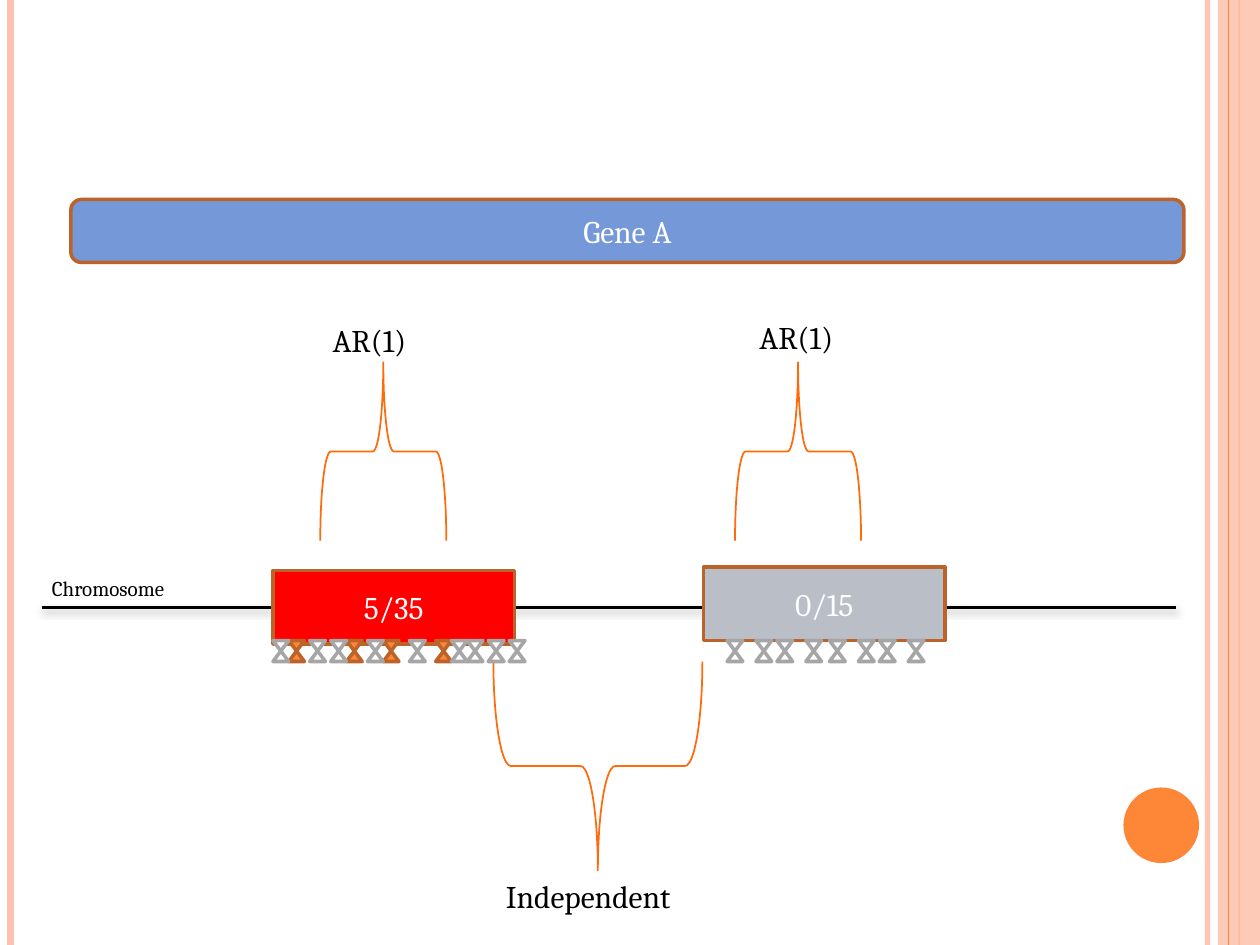
from dataclasses import dataclass

from lxml import etree
from pptx import Presentation
from pptx import util as u
from pptx.dml.color import RGBColor
from pptx.enum import shapes, text
from pptx.oxml.ns import qn

COLUMNS, ROWS = 240, 180  # grid cells of 1/24 inch
CELL = u.Inches(10) / COLUMNS
FORM = shapes.MSO_SHAPE


@dataclass(frozen=True)
class Theme:
    font: str = "Cambria"
    body: float = 18
    small: float = 12
    outline: float = 2
    black: str = "000000"
    white: str = "FFFFFF"
    orange: str = "FE8637"
    brace: str = "FF6B0A"
    peach: str = "FEC3AE"
    brown: str = "BC6329"
    red: str = "FF0000"
    silver: str = "B9BEC7"
    grey: str = "A6A6A6"
    blue: str = "7598D9"


@dataclass(frozen=True)
class Area:
    column: float
    row: float
    columns: float
    rows: float

    def lengths(self) -> list[int]:
        return [cells(n) for n in (self.column, self.row, self.columns, self.rows)]


@dataclass(frozen=True)
class Rule:
    column: float
    color: str
    width: float
    alpha: int = 100


@dataclass(frozen=True)
class Brace:
    area: Area
    rotation: int


@dataclass(frozen=True)
class Label:
    area: Area
    words: str
    size: float


@dataclass(frozen=True)
class Block:
    form: int
    area: Area
    fill: str
    words: str


@dataclass(frozen=True)
class SiteGroup:
    columns: tuple[float, ...]
    fill: str
    line: str


THEME = Theme()

RULES = (
    Rule(230, THEME.peach, 3, 93),
    Rule(2, THEME.peach, 4.5),
    Rule(236, THEME.orange, 1.5),
)
BAND_RULE = Rule(234, THEME.orange, 0.75)
BRACES = (
    Brace(Area(56, 74, 34, 24), 90),
    Brace(Area(135, 74, 34, 24), 90),
    Brace(Area(94, 126, 39.8, 39.8), 270),
)
LABELS = (
    Label(Area(61, 60, 29, 9.7), "AR(1)", THEME.body),
    Label(Area(142.3, 59.3, 29, 9.7), "AR(1)", THEME.body),
    Label(Area(94, 165.8, 46, 9.7), "Independent", THEME.body),
    Label(Area(7.5, 108.5, 32, 7.2), "Chromosome", THEME.small),
)
BLOCKS = (
    Block(FORM.RECTANGLE, Area(52, 108.7, 46, 14), THEME.red, "5/35"),
    Block(FORM.RECTANGLE, Area(134, 108, 46, 14), THEME.silver, "0/15"),
    Block(FORM.ROUNDED_RECTANGLE, Area(13.5, 38, 212, 12), THEME.blue, "Gene A"),
)
SITE_GROUPS = (
    SiteGroup((66, 55, 73, 83), THEME.orange, THEME.brown),
    SiteGroup((78, 93, 70, 89, 59, 63, 86, 97, 52), THEME.white, THEME.grey),
    SiteGroup((138.5, 144, 148, 153.5, 158, 163.5, 167.5, 173), THEME.white, THEME.grey),
)


def cells(count: float) -> int:
    return round(count * CELL)


def set_alpha(properties, percent: int) -> None:
    """Make the first solid colour inside the given XML partly transparent."""
    color = next(properties.iter(qn("a:srgbClr")))
    etree.SubElement(color, qn("a:alpha")).set("val", str(percent * 1000))


def add_line(page, start: tuple, end: tuple, color: str, width: float):
    """Draw a straight line between grid points; return it and its effect list."""
    points = [cells(n) for n in (*start, *end)]
    line = page.shapes.add_connector(shapes.MSO_CONNECTOR.STRAIGHT, *points)
    line.line.color.rgb = RGBColor.from_string(color)
    line.line.width = u.Pt(width)
    effects = etree.SubElement(line._element.spPr, qn("a:effectLst"))
    return line, effects


def add_rule(page, rule: Rule) -> None:
    line, _ = add_line(page, (rule.column, 0), (rule.column, ROWS), rule.color, rule.width)
    if rule.alpha < 100:
        set_alpha(line._element.spPr, rule.alpha)


def add_form(page, form: int, area: Area, fill: str = "", line: str = "",
             width: float = THEME.outline):
    shape = page.shapes.add_shape(form, *area.lengths())
    shape.shadow.inherit = False
    if fill:
        shape.fill.solid()
        shape.fill.fore_color.rgb = RGBColor.from_string(fill)
    else:
        shape.fill.background()
    if line:
        shape.line.color.rgb = RGBColor.from_string(line)
        shape.line.width = u.Pt(width)
    else:
        shape.line.fill.background()
    return shape


def write(box, words: str, size: float, color: str, align) -> None:
    box.text_frame.word_wrap = True
    para = box.text_frame.paragraphs[0]
    para.text = words
    para.alignment = align
    para.font.name = THEME.font
    para.font.size = u.Pt(size)
    para.font.color.rgb = RGBColor.from_string(color)


def add_label(page, label: Label) -> None:
    box = page.shapes.add_textbox(*label.area.lengths())
    write(box, label.words, label.size, THEME.black, text.PP_ALIGN.LEFT)
    box.text_frame.auto_size = text.MSO_AUTO_SIZE.SHAPE_TO_FIT_TEXT


def add_block(page, block: Block) -> None:
    shape = add_form(page, block.form, block.area, block.fill, THEME.brown)
    shape.text_frame.vertical_anchor = text.MSO_ANCHOR.MIDDLE
    write(shape, block.words, THEME.body, THEME.white, text.PP_ALIGN.CENTER)


def add_chromosome(page) -> None:
    _, effects = add_line(page, (8, 115.7), (224, 115.7), THEME.black, THEME.outline)
    shadow = etree.SubElement(effects, qn("a:outerShdw"), blurRad=str(u.Pt(4)),
                              dist=str(u.Pt(2)), dir=str(90 * 60000), rotWithShape="0")
    etree.SubElement(shadow, qn("a:srgbClr"), val=THEME.black)
    set_alpha(shadow, 40)


def add_frame(page) -> None:
    for rule in RULES:
        add_rule(page, rule)
    band = add_form(page, FORM.RECTANGLE, Area(232, 0, 8, ROWS), THEME.peach)
    set_alpha(band._element.spPr, 87)
    add_rule(page, BAND_RULE)
    add_form(page, FORM.OVAL, Area(214, 150, 14.4, 14.4), THEME.orange)


def main() -> None:
    deck = Presentation()
    deck.slide_width, deck.slide_height = cells(COLUMNS), cells(ROWS)
    page = deck.slides.add_slide(deck.slide_layouts[6])
    add_frame(page)
    for brace in BRACES:
        shape = add_form(page, FORM.LEFT_BRACE, brace.area, line=THEME.brace, width=1)
        shape.rotation = brace.rotation
    for label in LABELS:
        add_label(page, label)
    add_chromosome(page)
    for block in BLOCKS:
        add_block(page, block)
    for group in SITE_GROUPS:
        for column in group.columns:
            add_form(page, FORM.FLOWCHART_COLLATE, Area(column, 122, 3, 4), group.fill, group.line)
    deck.save("out.pptx")


if __name__ == "__main__":
    main()
